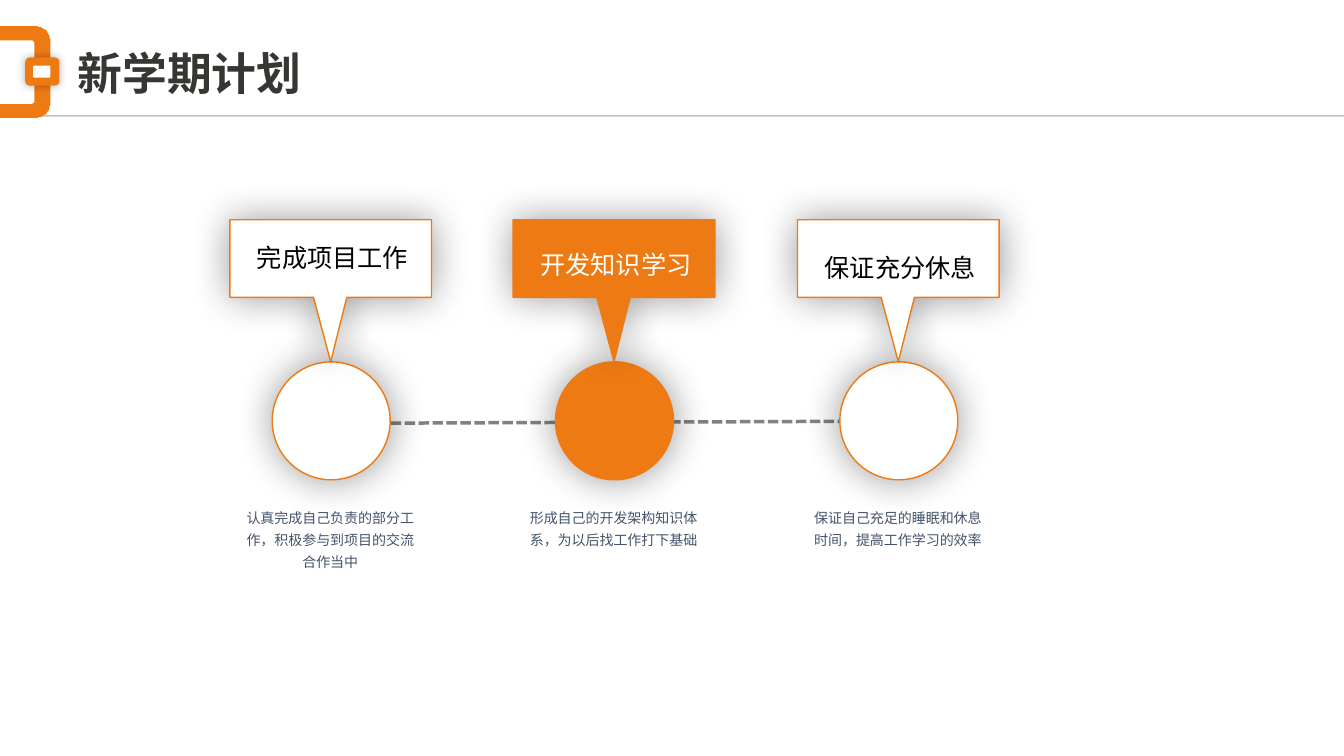
from math import cos, pi, sin

from lxml.etree import SubElement
from pptx import Presentation
from pptx.dml.color import RGBColor
from pptx.enum.dml import MSO_LINE_DASH_STYLE as Dash
from pptx.enum.shapes import MSO_CONNECTOR as Connector, MSO_SHAPE as Shape
from pptx.enum.text import MSO_ANCHOR as Anchor, MSO_AUTO_SIZE as AutoSize, PP_ALIGN as Align
from pptx.oxml.ns import qn
from pptx.util import Pt

# Content
TITLE = "新学期计划"
PLANS = [  # label, label top, label colour, fill, description
    ("完成项目工作", 235, "000000", "FFFFFF", "认真完成自己负责的部分工作，积极参与到项目的交流合作当中"),
    ("开发知识学习", 242, "FFFFFF", "EE7A13", "形成自己的开发架构知识体系，为以后找工作打下基础"),
    ("保证充分休息", 245, "000000", "FFFFFF", "保证自己充足的睡眠和休息时间，提高工作学习的效率"),
]
ORANGE, WHITE, DARK, SLATE = "EE7A13", "FFFFFF", "363632", "44546A"
CJK_FONT = "Noto Sans CJK SC"

# Layout: 100 px to the inch
PX = 9144
LEFT, TWO_PITCHES = 228, 563
CALLOUT = [(0, 218), (200, 218), (200, 295), (116, 295), (100, 359), (83, 295), (0, 295)]
CIRCLE_TOP, CIRCLE_SIZE = 359, 117


def color(value):
    return RGBColor.from_string(value)


def paint(shape, fill, line=None, shadow=None):
    shape.shadow.inherit = False
    shape.fill.solid()
    shape.fill.fore_color.rgb = color(fill)
    if line:
        shape.line.color.rgb = color(line)
        shape.line.width = Pt(1)
    else:
        shape.line.fill.background()
    if shadow:
        blur, opacity = shadow
        effects = shape._element.spPr.find(qn("a:effectLst"))
        outer = SubElement(effects, qn("a:outerShdw"), blurRad=str(Pt(blur)),
                           dist="0", dir="0", algn="ctr", rotWithShape="0")
        black = SubElement(outer, qn("a:srgbClr"), val="000000")
        SubElement(black, qn("a:alpha"), val=str(opacity * 1000))


def add_preset(page, kind, box, *style):
    shape = page.shapes.add_shape(kind, *(n * PX for n in box))
    paint(shape, *style)
    return shape


def add_outline(page, points, *style):
    builder = page.shapes.build_freeform(*points[0], scale=PX)
    builder.add_line_segments(points[1:], close=True)
    paint(builder.convert_to_shape(), *style)


def add_line(page, start, end, tint, width, opacity, dash=None):
    line = page.shapes.add_connector(Connector.STRAIGHT, *(n * PX for n in start + end))
    line.line.color.rgb = color(tint)
    line.line.width = Pt(width)
    if dash:
        line.line.dash_style = dash
    rgb = line._element.spPr.find(".//" + qn("a:srgbClr"))
    SubElement(rgb, qn("a:alpha"), val=str(opacity * 1000))
    SubElement(line._element.spPr, qn("a:effectLst"))


def add_text(page, text, box, size, tint, font="Arial", wrap=True, bold=False):
    frame = page.shapes.add_textbox(*(n * PX for n in box)).text_frame
    frame.word_wrap = wrap
    frame.auto_size = AutoSize.SHAPE_TO_FIT_TEXT
    frame.text = text
    span = frame.paragraphs[0].runs[0]
    span.font.size = Pt(size)
    span.font.bold = bold
    span.font.name = font
    span.font.color.rgb = color(tint)
    SubElement(span.font._element, qn("a:ea"), typeface=CJK_FONT)
    return frame


def tab_points(top, bottom, right, radius):
    """Panel from the left slide edge with both right corners rounded."""
    points = [(0, top)]
    for center_y, first in ((top + radius, -pi / 2), (bottom - radius, 0)):
        for step in range(13):
            angle = first + step * pi / 24
            points.append((right - radius + radius * cos(angle), center_y + radius * sin(angle)))
    return points + [(0, bottom)]


def add_header(page):
    add_line(page, (25, 115), (1333, 115), DARK, 1, 31)
    add_outline(page, tab_points(26, 117, 50, 15), ORANGE)
    add_outline(page, tab_points(40, 103, 34, 3), WHITE)
    add_preset(page, Shape.ROUNDED_RECTANGLE, (25, 57, 34, 28), ORANGE, None, (6, 30))
    hole = add_preset(page, Shape.ROUNDED_RECTANGLE, (33, 65, 17, 12), WHITE)
    hole.adjustments[0] = 0.1
    frame = add_text(page, TITLE, (67, 40, 1190, 64), 32, DARK, bold=True)
    frame.auto_size = AutoSize.NONE
    frame.vertical_anchor = Anchor.MIDDLE


def add_plans(page):
    add_line(page, (332, 420), (833, 418), "292926", 2.5, 58, Dash.SQUARE_DOT)
    lefts = [LEFT + i * TWO_PITCHES // 2 for i in range(len(PLANS))]
    glow = (28, 40)
    # Circles lie below the callouts
    for left, plan in zip(lefts, PLANS):
        circle = (left + 42, CIRCLE_TOP, CIRCLE_SIZE, CIRCLE_SIZE)
        add_preset(page, Shape.OVAL, circle, plan[3], ORANGE, glow)
    # Callouts, labels and descriptions
    for left, (label, top, tint, fill, description) in zip(lefts, PLANS):
        add_outline(page, [(left + x, y) for x, y in CALLOUT], fill, ORANGE, glow)
        add_text(page, label, (left + 17, top, 172, 40), 18, tint, wrap=False)
        frame = add_text(page, description, (left + 6, 496, 187, 74), 10, SLATE, CJK_FONT)
        para = frame.paragraphs[0]
        para.alignment = Align.CENTER
        para.line_spacing = 1.3


def main():
    deck = Presentation()
    deck.slide_width, deck.slide_height = 1333 * PX, 750 * PX
    page = deck.slides.add_slide(deck.slide_layouts[6])
    add_header(page)
    add_plans(page)
    deck.save("out.pptx")


if __name__ == "__main__":
    main()
